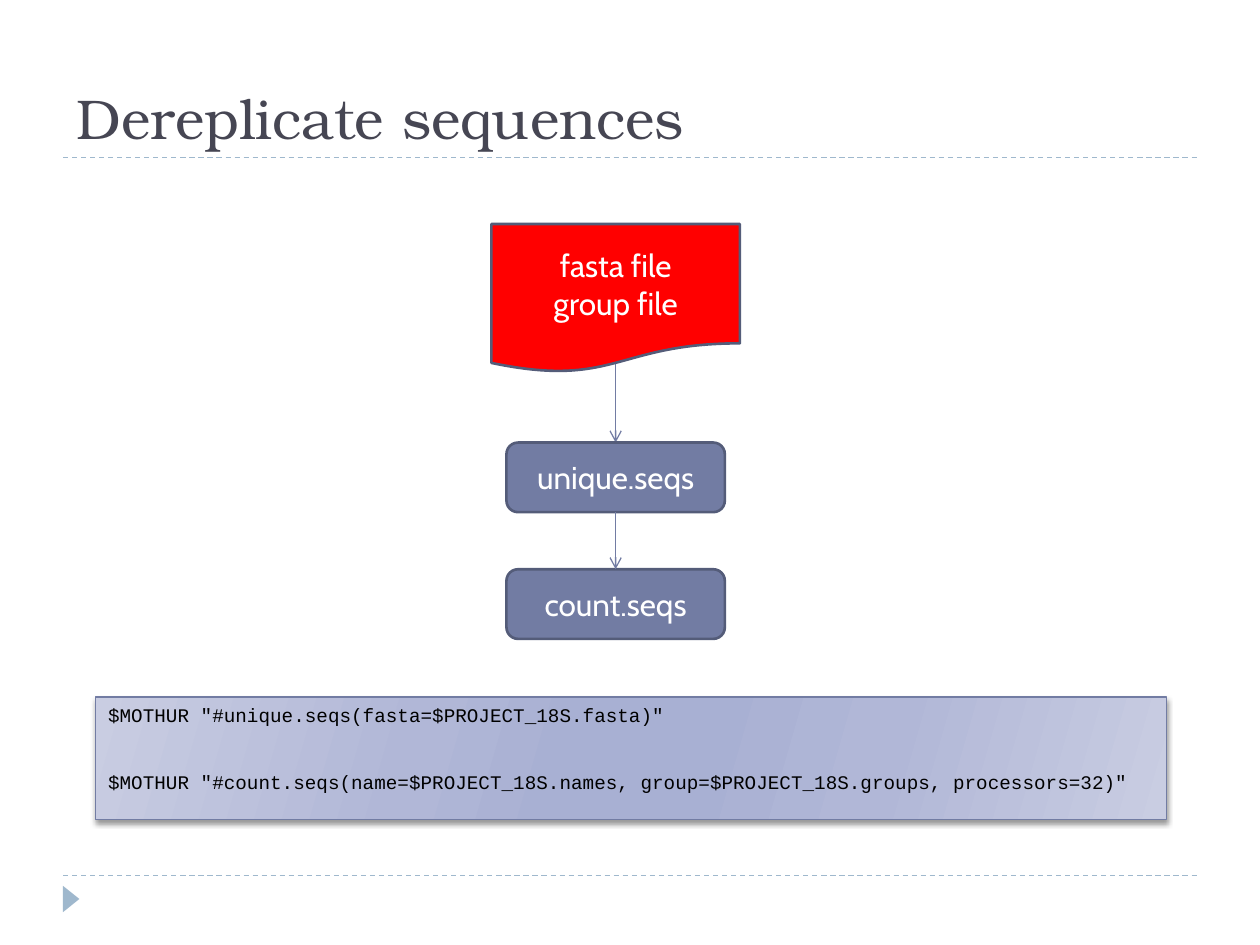
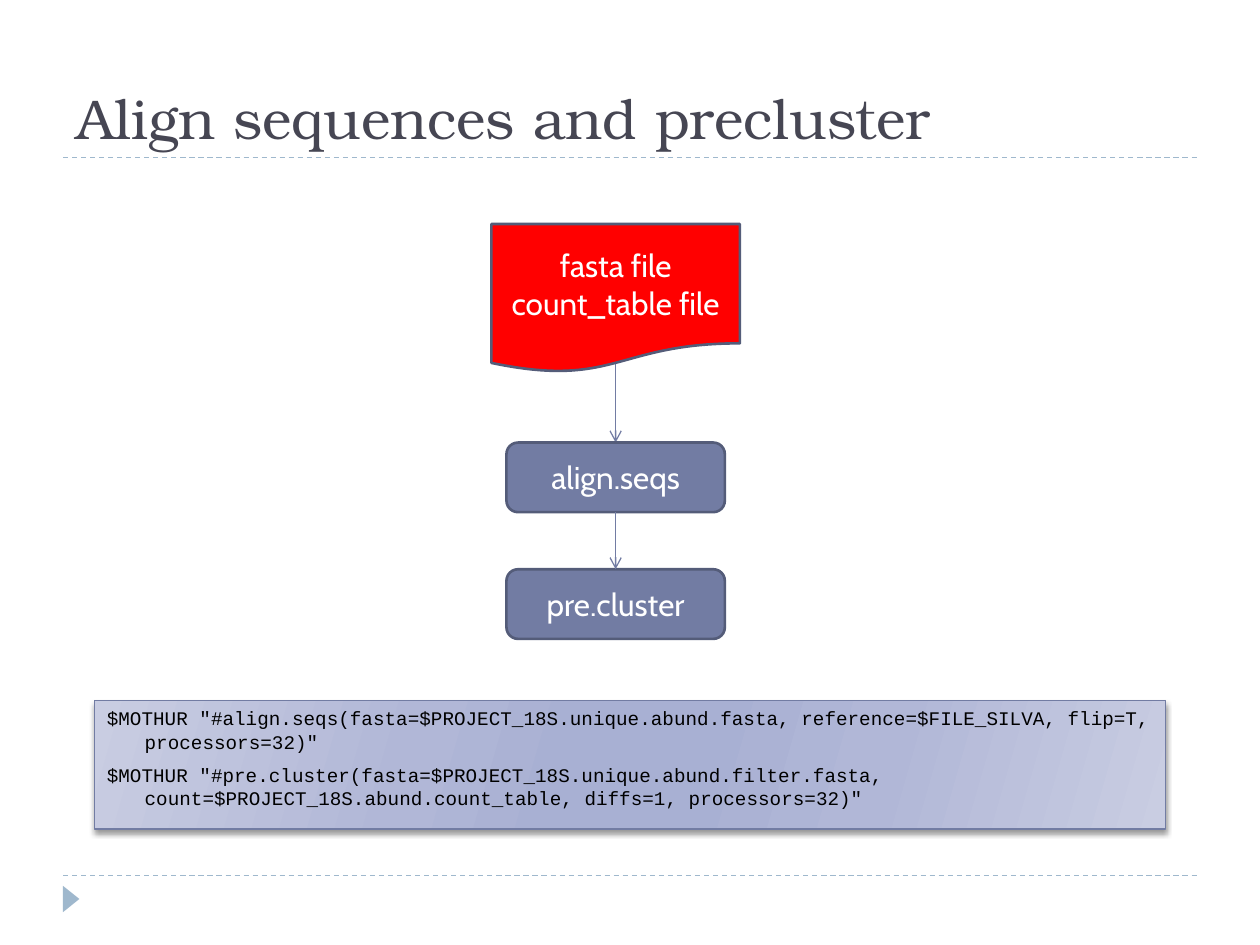
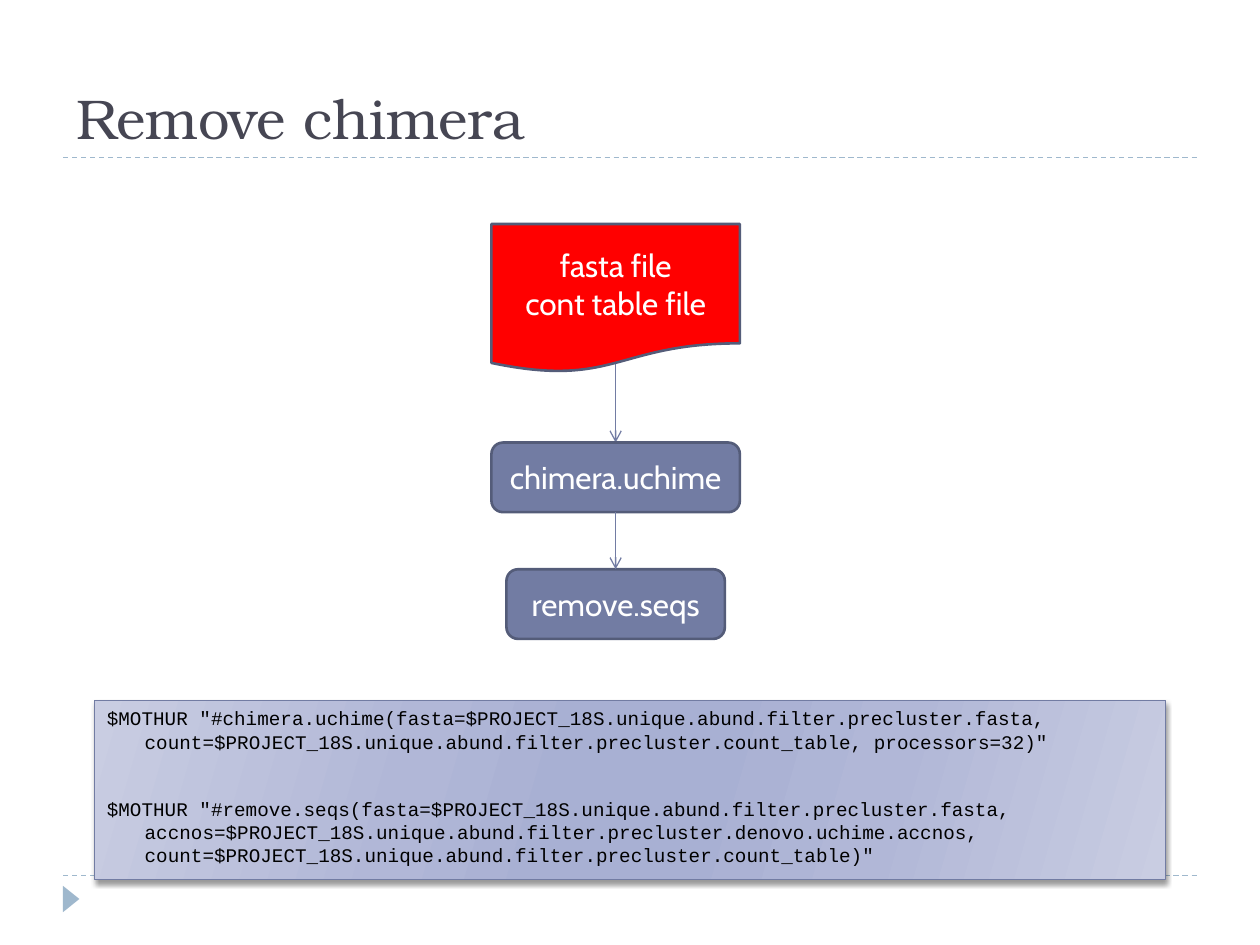
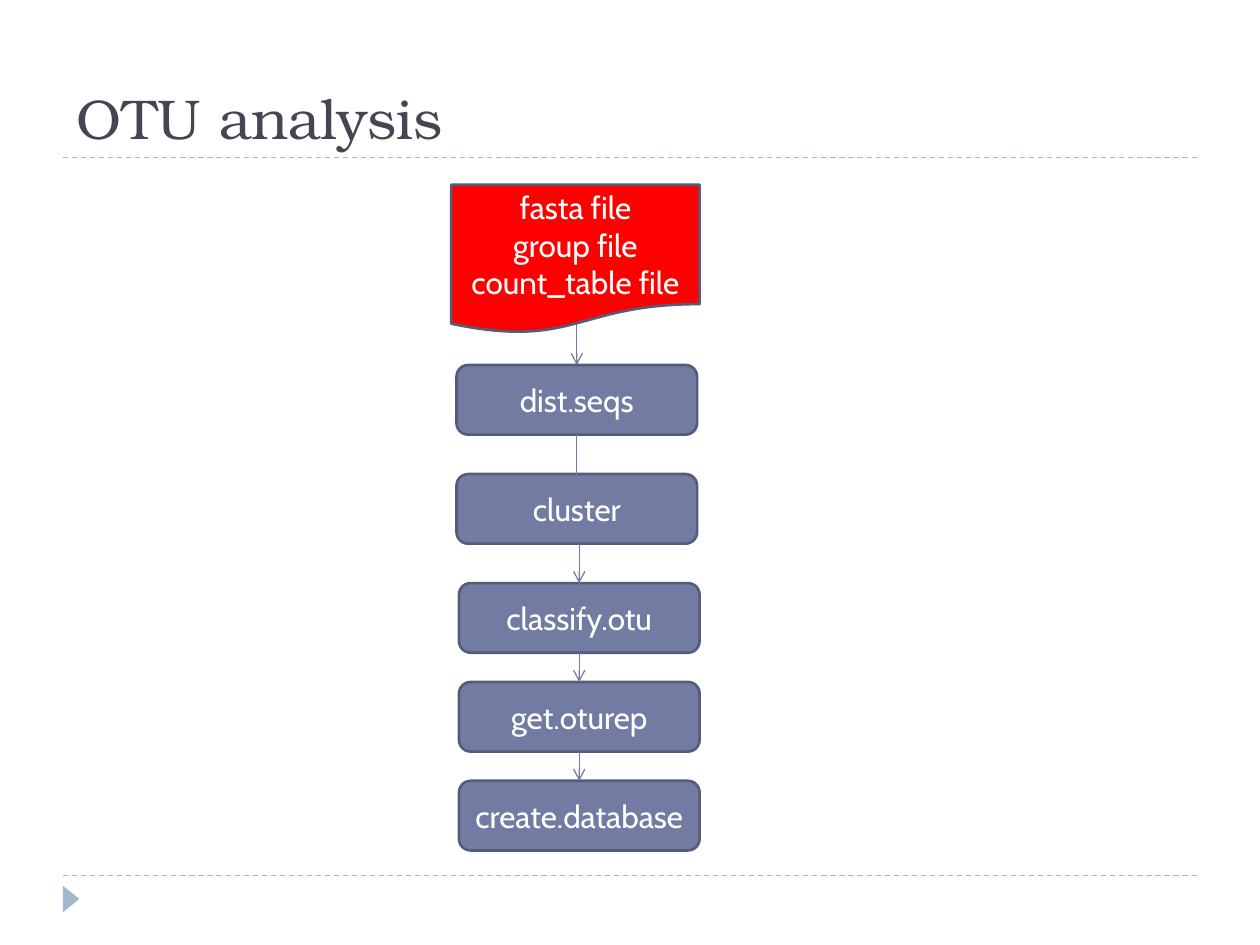
"""Build four slides that describe a sequence analysis workflow."""
from dataclasses import dataclass

from lxml.etree import SubElement
from pptx import Presentation
from pptx.dml.color import RGBColor
from pptx.enum.dml import MSO_LINE
from pptx.enum.shapes import MSO_CONNECTOR, MSO_SHAPE
from pptx.enum.text import MSO_ANCHOR, MSO_AUTO_SIZE, PP_ALIGN
from pptx.oxml.ns import qn
from pptx.util import Pt


@dataclass(frozen=True)
class Theme:
    """Colours, fonts and type sizes."""
    title: str = "464653"
    accent: str = "727CA3"
    outline: str = "545C79"
    rule: str = "9FB8CD"
    document: str = "FF0000"
    light: str = "FFFFFF"
    dark: str = "000000"
    code_stops: tuple = ((0, "C9CDE2"), (30, "B1B7D7"), (45, "A8B0D3"),
                         (55, "A8B0D3"), (73, "B1B7D7"), (100, "C9CDE2"))
    title_font: str = "TeX Gyre Bonum"
    label_font: str = "Cabin"
    code_font: str = "Courier New"
    title_size: float = 32
    label_size: float = 18
    code_size: float = 11
    thin: float = 0.75
    thick: float = 1.5


@dataclass(frozen=True)
class Document:
    """Input files at the top of a flow."""
    lines: tuple
    center: float = 351.8
    top: float = 128.0


@dataclass(frozen=True)
class Step:
    """Command box; its incoming arrow ends `depth` below its top edge."""
    label: str
    top: float
    width: float = 124.8
    center: float = 351.8
    depth: float = 0


@dataclass(frozen=True)
class Code:
    """Command listing with its box and the gap between commands."""
    commands: tuple
    left: float
    top: float
    height: float
    gap: float


@dataclass(frozen=True)
class Page:
    """Content of one slide."""
    title: str
    document: Document
    steps: tuple
    code: Code | None = None
    extra_arrows: tuple = ()


THEME = Theme()
DOCUMENT_WIDTH, DOCUMENT_HEIGHT, DOCUMENT_EXIT = 142, 85, 79.4
STEP_HEIGHT = 39.8
FIRST_TOP, SECOND_TOP = 252.9, 325.3
CODE_WIDTH, CODE_INDENT = 612, 21.6
OTU_TOP, OTU_WIDE, OTU_NARROW = 208.6, 62.3, 56.5
OTU_WIDTH, OTU_LEFT_CENTER, OTU_RIGHT_CENTER = 137.5, 329.6, 331

PAGES = (
    Page("Dereplicate sequences",
         Document(("fasta file", "group file")),
         (Step("unique.seqs", FIRST_TOP), Step("count.seqs", SECOND_TOP)),
         Code(('$MOTHUR "#unique.seqs(fasta=$PROJECT_18S.fasta)"',
               '$MOTHUR "#count.seqs(name=$PROJECT_18S.names, '
               'group=$PROJECT_18S.groups, processors=32)"'),
              54.7, 398.3, 70, 25.2)),
    Page("Align sequences and precluster",
         Document(("fasta file", "count_table file")),
         (Step("align.seqs", FIRST_TOP), Step("pre.cluster", SECOND_TOP)),
         Code(('$MOTHUR "#align.seqs(fasta=$PROJECT_18S.unique.abund.fasta, '
               'reference=$FILE_SILVA, flip=T, processors=32)"',
               '$MOTHUR "#pre.cluster(fasta=$PROJECT_18S.unique.abund.filter.fasta, '
               'count=$PROJECT_18S.abund.count_table, diffs=1, processors=32)"'),
              54, 400.3, 73.5, 6)),
    Page("Remove chimera",
         Document(("fasta file", "cont table file")),
         (Step("chimera.uchime", FIRST_TOP, DOCUMENT_WIDTH),
          Step("remove.seqs", SECOND_TOP)),
         Code(('$MOTHUR "#chimera.uchime('
               'fasta=$PROJECT_18S.unique.abund.filter.precluster.fasta, '
               'count=$PROJECT_18S.unique.abund.filter.precluster.count_table, '
               'processors=32)"',
               '$MOTHUR "#remove.seqs('
               'fasta=$PROJECT_18S.unique.abund.filter.precluster.fasta, '
               'accnos=$PROJECT_18S.unique.abund.filter.precluster.denovo.uchime.accnos, '
               'count=$PROJECT_18S.unique.abund.filter.precluster.count_table)"'),
              54, 400.3, 102.3, 25.2)),
    Page("OTU analysis",
         Document(("fasta file", "group file", "count_table file"), 328.8, 105.6),
         (Step("dist.seqs", OTU_TOP, OTU_WIDTH, OTU_LEFT_CENTER),
          Step("cluster", OTU_TOP + OTU_WIDE, OTU_WIDTH, OTU_LEFT_CENTER, 17),
          *(Step(label, OTU_TOP + 2 * OTU_WIDE + index * OTU_NARROW,
                 OTU_WIDTH, OTU_RIGHT_CENTER)
            for index, label in enumerate(
                ("classify.otu", "get.oturep", "create.database")))),
         extra_arrows=((OTU_RIGHT_CENTER, 327.6, 350),)),
)


def color(value: str) -> RGBColor:
    """Turn a hex value into a colour."""
    return RGBColor.from_string(value)


def add_span(para, text: str, font: str, size: float, value: str) -> None:
    """Add one formatted run to a paragraph."""
    span = para.add_run()
    span.text = text
    span.font.name = font
    span.font.size = Pt(size)
    span.font.color.rgb = color(value)


def add_box(page, kind, left: float, top: float, width: float, height: float,
            line: str, weight: float):
    """Add an outlined preset shape without a shadow."""
    box = page.shapes.add_shape(kind, Pt(left), Pt(top), Pt(width), Pt(height))
    box.shadow.inherit = False
    box.line.color.rgb = color(line)
    box.line.width = Pt(weight)
    box.text_frame.word_wrap = True
    return box


def add_label_box(page, kind, center: float, top: float, width: float,
                  height: float, fill: str, lines: tuple) -> None:
    """Add a filled flowchart shape with centred lines of text."""
    box = add_box(page, kind, center - width / 2, top, width, height,
                  THEME.outline, THEME.thick)
    box.fill.solid()
    box.fill.fore_color.rgb = color(fill)
    frame = box.text_frame
    frame.vertical_anchor = MSO_ANCHOR.MIDDLE
    for index, text in enumerate(lines):
        para = frame.add_paragraph() if index else frame.paragraphs[0]
        para.alignment = PP_ALIGN.CENTER
        add_span(para, text, THEME.label_font, THEME.label_size, THEME.light)


def add_line(page, start: tuple, end: tuple, value: str):
    """Add a thin straight connector without a shadow."""
    line = page.shapes.add_connector(
        MSO_CONNECTOR.STRAIGHT, *(Pt(length) for length in (*start, *end)))
    line.line.color.rgb = color(value)
    line.line.width = Pt(THEME.thin)
    SubElement(line.element.spPr, qn("a:effectLst"))
    return line


def add_arrow(page, x: float, start: float, end: float) -> None:
    """Add a downward arrow."""
    arrow = add_line(page, (x, start), (x, end), THEME.accent)
    SubElement(arrow.line._get_or_add_ln(), qn("a:tailEnd"), type="arrow")


def add_stop_color(parent, value: str):
    """Add an RGB colour element."""
    return SubElement(parent, qn("a:srgbClr"), val=value)


def add_code(page, code: Code) -> None:
    """Add the gradient box that lists commands."""
    box = add_box(page, MSO_SHAPE.RECTANGLE, code.left, code.top, CODE_WIDTH,
                  code.height, THEME.accent, THEME.thin)
    box.fill.gradient()
    box.fill.gradient_angle = 360 - 16
    properties = box.element.spPr
    stops = properties.find(qn("a:gradFill")).find(qn("a:gsLst"))
    for stop in list(stops):
        stops.remove(stop)
    for percent, value in THEME.code_stops:
        add_stop_color(SubElement(stops, qn("a:gs"), pos=str(percent * 1000)), value)
    shadow = SubElement(properties.find(qn("a:effectLst")), qn("a:outerShdw"),
                        blurRad=str(Pt(3)), dist=str(Pt(2)), dir=str(90 * 60000),
                        rotWithShape="0")
    SubElement(add_stop_color(shadow, THEME.dark), qn("a:alpha"), val="40000")
    frame = box.text_frame
    frame.vertical_anchor = MSO_ANCHOR.TOP
    for index, command in enumerate(code.commands):
        para = frame.add_paragraph() if index else frame.paragraphs[0]
        settings = para._p.get_or_add_pPr()
        settings.set("marL", str(Pt(CODE_INDENT)))
        settings.set("indent", str(-Pt(CODE_INDENT)))
        para.alignment = PP_ALIGN.LEFT
        if index:
            para.space_before = Pt(code.gap)
        add_span(para, command, THEME.code_font, THEME.code_size, THEME.dark)


def prepare_layout(layout, page) -> None:
    """Place the title, the dashed rules and the corner marker on the layout."""
    title = layout.placeholders[0]
    title.left, title.top, title.width, title.height = Pt(36.7), Pt(0), Pt(648), Pt(90)
    furniture = []
    for height in (500.4, 90):
        rule = add_line(page, (36, height), (684, height), THEME.rule)
        rule.line.dash_style = MSO_LINE.DASH
        furniture.append(rule)
    marker = add_box(page, MSO_SHAPE.ISOSCELES_TRIANGLE, 33.1, 509, 15.1, 9.4,
                     THEME.rule, THEME.thin)
    marker.rotation = 90
    marker.fill.solid()
    marker.fill.fore_color.rgb = color(THEME.rule)
    marker.line.fill.background()
    furniture.append(marker)
    for number, shape in enumerate(furniture, start=20):
        shape.element.xpath(".//p:cNvPr")[0].set("id", str(number))
        layout.shapes.element.append(shape.element)


def add_title(page, text: str) -> None:
    """Fill the title placeholder."""
    frame = page.shapes.title.text_frame
    frame.auto_size = MSO_AUTO_SIZE.NONE
    frame.vertical_anchor = MSO_ANCHOR.BOTTOM
    para = frame.paragraphs[0]
    para.alignment = PP_ALIGN.LEFT
    add_span(para, text, THEME.title_font, THEME.title_size, THEME.title)


def add_flow(page, content: Page) -> None:
    """Draw the input document, the steps and the arrows between them."""
    document = content.document
    first = content.steps[0]
    add_arrow(page, first.center, document.top + DOCUMENT_EXIT, first.top)
    add_label_box(page, MSO_SHAPE.FLOWCHART_DOCUMENT, document.center, document.top,
                  DOCUMENT_WIDTH, DOCUMENT_HEIGHT, THEME.document, document.lines)
    for step in content.steps:
        add_label_box(page, MSO_SHAPE.FLOWCHART_ALTERNATE_PROCESS, step.center,
                      step.top, step.width, STEP_HEIGHT, THEME.accent, (step.label,))
    for previous, step in zip(content.steps, content.steps[1:]):
        add_arrow(page, step.center, previous.top + STEP_HEIGHT, step.top + step.depth)
    for arrow in content.extra_arrows:
        add_arrow(page, *arrow)


def main() -> None:
    """Build and save the deck."""
    deck = Presentation()
    deck.slide_width, deck.slide_height = Pt(720), Pt(540)
    layout = deck.slide_layouts[5]
    for index, content in enumerate(PAGES):
        page = deck.slides.add_slide(layout)
        if index == 0:
            prepare_layout(layout, page)
        add_title(page, content.title)
        add_flow(page, content)
        if content.code:
            add_code(page, content.code)
    deck.save("out.pptx")


if __name__ == "__main__":
    main()
